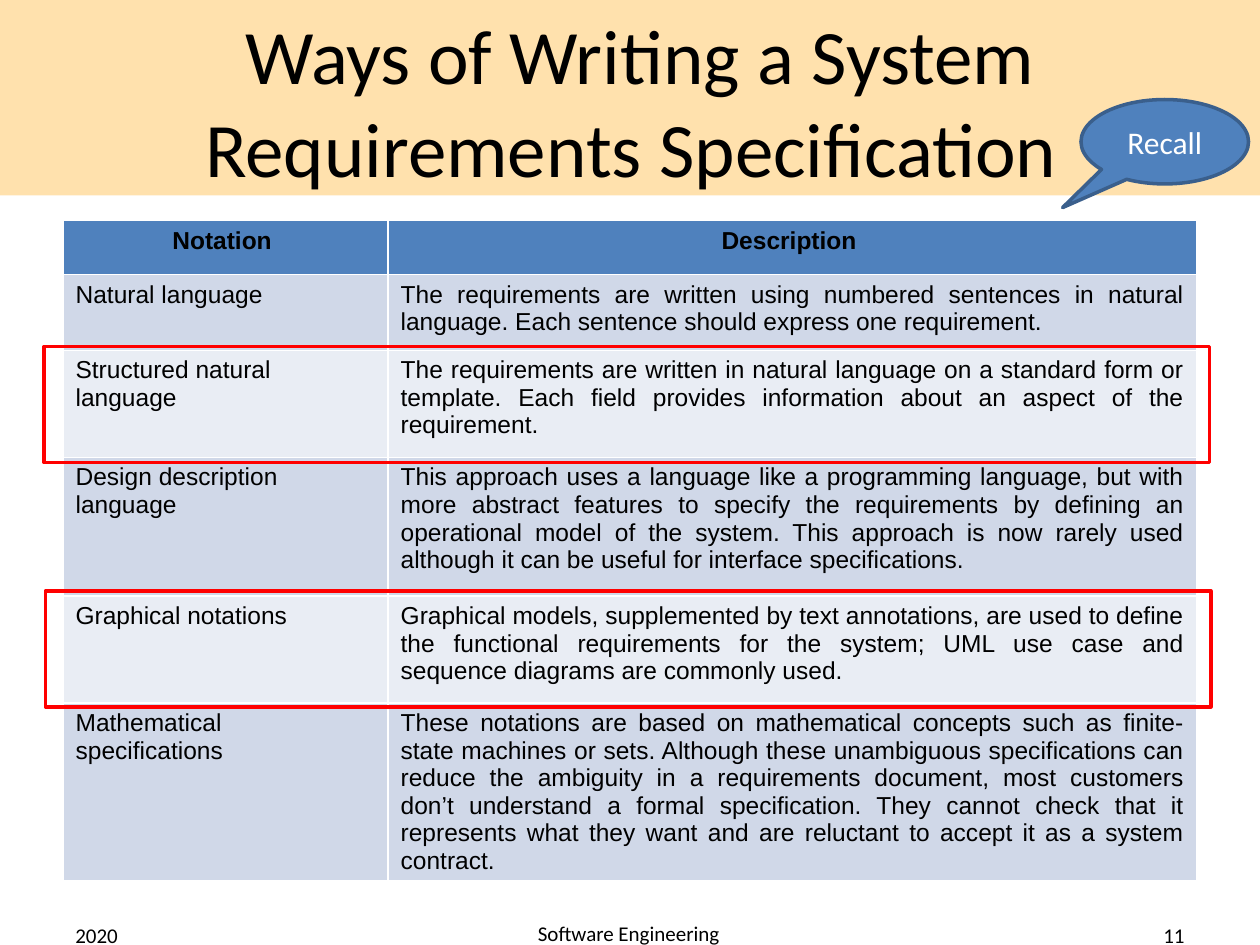
from pptx import Presentation
from pptx import util as u
from pptx.dml import color
from pptx.enum import shapes, text

Inches = u.Inches
ALIGN = text.PP_ALIGN
KIND = shapes.MSO_SHAPE
ROWS = [
    ("Notation ", "Description "),
    ("Natural language",
     "The requirements are written using numbered sentences in natural language. "
     "Each sentence should express one requirement."),
    ("Structured natural language",
     "The requirements are written in natural language on a standard form or template. "
     "Each field provides information about an aspect of the requirement."),
    ("Design description language",
     "This approach uses a language like a programming language, but with more abstract "
     "features to specify the requirements by defining an operational model of the system. "
     "This approach is now rarely used although it can be useful for interface specifications."),
    ("Graphical notations",
     "Graphical models, supplemented by text annotations, are used to define the functional "
     "requirements for the system; UML use case and sequence diagrams are commonly used."),
    ("Mathematical specifications",
     "These notations are based on mathematical concepts such as finite-state machines or sets. "
     "Although these unambiguous specifications can reduce the ambiguity in a requirements "
     "document, most customers don’t understand a formal specification. They cannot check that "
     "it represents what they want and are reluctant to accept it as a system contract."),
]
ROW_HEIGHTS = [0.43, 0.6, 0.85, 1.1, 0.85, 1.34]
COLUMN_WIDTHS = [2.58, 6.42]


def rgb(value):
    return color.RGBColor.from_string(value)


def inches(box):
    return [Inches(length) for length in box]


def write(frame, words, size, align, font="Calibri", ink="000000", bold=False):
    para = frame.paragraphs[0]
    para.alignment = align
    span = para.add_run()
    span.text = words
    span.font.size = u.Pt(size)
    span.font.name = font
    span.font.bold = bold
    span.font.color.rgb = rgb(ink)


def add_shape(page, kind, box, fill=None, line=None):
    shape = page.shapes.add_shape(kind, *inches(box))
    shape.shadow.inherit = False
    if fill:
        shape.fill.solid()
        shape.fill.fore_color.rgb = rgb(fill)
    else:
        shape.fill.background()
    if line:
        shape.line.color.rgb = rgb(line)
        shape.line.width = u.Pt(2)
    else:
        shape.line.fill.background()
    return shape


def add_title(page, box):
    title = page.shapes.title
    title.left, title.top, title.width, title.height = inches(box)
    frame = title.text_frame
    frame.word_wrap = True
    frame.auto_size = text.MSO_AUTO_SIZE.NONE
    frame.vertical_anchor = text.MSO_ANCHOR.MIDDLE
    write(frame, "Ways of Writing a System Requirements Specification ", 44, ALIGN.CENTER)
    band = add_shape(page, KIND.RECTANGLE, (0, 0, 10, 1.55), "FFE1AD")
    title.element.addprevious(band.element)


def add_notations(page, box):
    table = page.shapes.add_table(len(ROWS), len(COLUMN_WIDTHS), *inches(box)).table
    for column, width in zip(table.columns, COLUMN_WIDTHS):
        column.width = Inches(width)
    for number, words in enumerate(ROWS):
        table.rows[number].height = Inches(ROW_HEIGHTS[number])
        header = number == 0
        fill = "4F81BD" if header else ("E9EDF4", "D0D8E8")[number % 2]
        aligns = (ALIGN.CENTER, ALIGN.CENTER) if header else (ALIGN.LEFT, ALIGN.JUSTIFY)
        for cell, entry, align in zip(table.rows[number].cells, words, aligns):
            cell.fill.solid()
            cell.fill.fore_color.rgb = rgb(fill)
            write(cell.text_frame, entry, 14, align, "Arial", bold=header)


def add_callout(page, box):
    callout = add_shape(page, KIND.OVAL_CALLOUT, box, "4F81BD", "3A5F8C")
    callout.adjustments[0] = -0.61
    callout.adjustments[1] = 0.78
    callout.text_frame.vertical_anchor = text.MSO_ANCHOR.MIDDLE
    write(callout.text_frame, "Recall", 18, ALIGN.CENTER, ink="FFFFFF")


def add_footer(page, box, words, align):
    frame = page.shapes.add_textbox(*inches(box)).text_frame
    frame.word_wrap = True
    frame.vertical_anchor = text.MSO_ANCHOR.MIDDLE
    write(frame, words, 12, align)


def main():
    deck = Presentation()
    deck.slide_width, deck.slide_height = Inches(10), Inches(7.5)
    page = deck.slides.add_slide(deck.slide_layouts[5])
    add_title(page, (0.58, 0.17, 9, 1.25))
    add_notations(page, (0.5, 1.75, sum(COLUMN_WIDTHS), sum(ROW_HEIGHTS)))
    add_callout(page, (8.58, 0.79, 1.33, 0.67))
    for left, top in ((0.35, 2.75), (0.36, 4.69)):
        add_shape(page, KIND.RECTANGLE, (left, top, 9.25, 0.92), line="FF0000")
    add_footer(page, (2.7, 7.24, 4.58, 0.33), "Software Engineering", ALIGN.CENTER)
    add_footer(page, (7.17, 7.22, 2.33, 0.4), "11", ALIGN.RIGHT)
    add_footer(page, (0.5, 7.22, 2.33, 0.4), "2020", ALIGN.LEFT)
    deck.save("out.pptx")


if __name__ == "__main__":
    main()
